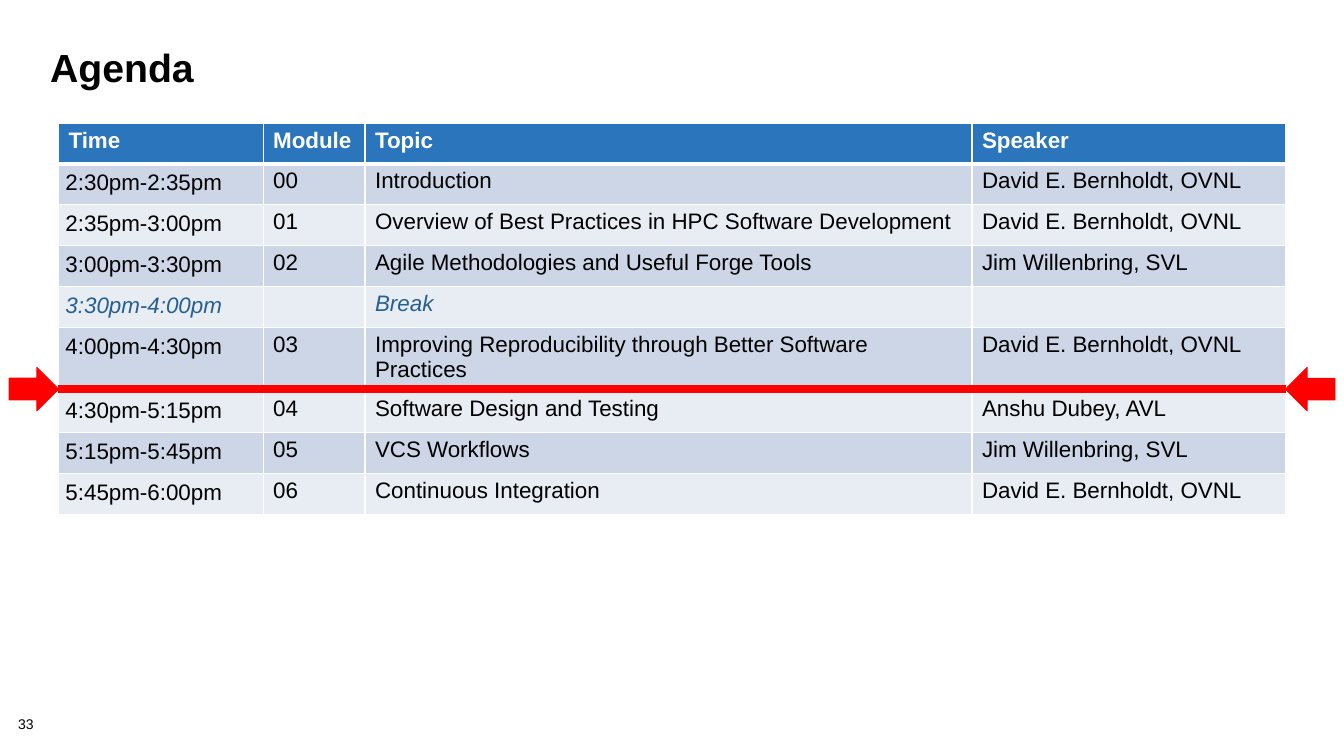
from dataclasses import dataclass

from lxml.etree import SubElement
from pptx import Presentation
from pptx.dml.color import RGBColor
from pptx.enum.shapes import MSO_CONNECTOR as Connector, MSO_SHAPE as Preset
from pptx.oxml.ns import qn
from pptx.slide import Slide
from pptx.table import _Cell as Cell
from pptx.text.text import TextFrame
from pptx.util import Inches, Length, Pt

COLOURS = {
    "text": "000000",
    "header": "2A75BB",
    "header text": "FFFFFF",
    "border": "FFFFFF",
    "odd row": "CDD6E7",
    "even row": "E8ECF3",
    "break": "266093",
    "marker": "FF0000",
}
FONT = "Arial"
SLIDE_WIDTH, SLIDE_HEIGHT = Inches(13.33), Inches(7.5)
ROW_SHARE, TALL_ROW_SHARE = 5.4, 7.9


@dataclass(frozen=True)
class Area:
    """A rectangle in percent of the slide's width and height."""
    left: float
    top: float
    width: float
    height: float

    def lengths(self) -> tuple[Length, Length, Length, Length]:
        return (across(self.left), down(self.top),
                across(self.width), down(self.height))


@dataclass(frozen=True)
class TextStyle:
    size: float
    colour: str = "text"
    bold: bool = False
    italic: bool = False


@dataclass(frozen=True)
class Session:
    time: str
    module: str
    topic: str
    speaker: str
    height: float = ROW_SHARE

    def texts(self) -> tuple[str, str, str, str]:
        return self.time, self.module, self.topic, self.speaker


HEADER_STYLE = TextStyle(16, "header text", bold=True)
SESSION_STYLE = TextStyle(16)
BREAK_STYLE = TextStyle(16, "break", italic=True)

ROWS = [
    Session("Time", "Module", "Topic", "Speaker"),
    Session("2:30pm-2:35pm", "00", "Introduction", "David E. Bernholdt, OVNL"),
    Session("2:35pm-3:00pm", "01",
            "Overview of Best Practices in HPC Software Development",
            "David E. Bernholdt, OVNL"),
    Session("3:00pm-3:30pm", "02", "Agile Methodologies and Useful Forge Tools",
            "Jim Willenbring, SVL"),
    Session("3:30pm-4:00pm", "", "Break", ""),
    Session("4:00pm-4:30pm", "03",
            "Improving Reproducibility through Better Software Practices",
            "David E. Bernholdt, OVNL", TALL_ROW_SHARE),
    Session("4:30pm-5:15pm", "04", "Software Design and Testing",
            "Anshu Dubey, AVL"),
    Session("5:15pm-5:45pm", "05", "VCS Workflows", "Jim Willenbring, SVL"),
    Session("5:45pm-6:00pm", "06", "Continuous Integration",
            "David E. Bernholdt, OVNL"),
]

NUMBER_AREA = Area(1.35, 94.93, 4.2, 2.13)
TITLE_AREA = Area(3, 6, 93.3, 13.33)
TABLE_AREA = Area(4.35, 16.27, 91.3, sum(row.height for row in ROWS))
COLUMN_SHARES = (15.23, 7.58, 45.16, 23.33)
MARKER_MIDDLE = 51.47
ARROW_WIDTH, ARROW_HEIGHT = 3.67, 5.73


def across(percent: float) -> Length:
    return Length(round(SLIDE_WIDTH * percent / 100))


def down(percent: float) -> Length:
    return Length(round(SLIDE_HEIGHT * percent / 100))


def colour(name: str) -> RGBColor:
    return RGBColor.from_string(COLOURS[name])


def write(frame: TextFrame, text: str, style: TextStyle,
          line_spacing: float = 1.0) -> None:
    para = frame.paragraphs[0]
    para.line_spacing = line_spacing
    span = para.add_run()
    span.text = text
    span.font.name = FONT
    span.font.size = Pt(style.size)
    span.font.bold = style.bold
    span.font.italic = style.italic
    span.font.color.rgb = colour(style.colour)


def add_text(page: Slide, area: Area, text: str, style: TextStyle,
             line_spacing: float, inset: bool = True) -> None:
    frame = page.shapes.add_textbox(*area.lengths()).text_frame
    frame.word_wrap = True
    if not inset:
        frame.margin_left = frame.margin_right = 0
        frame.margin_top = frame.margin_bottom = 0
    write(frame, text, style, line_spacing)


def add_borders(cell: Cell, top: float, bottom: float) -> None:
    properties = cell._tc.get_or_add_tcPr()
    for side, points in (("L", 1), ("R", 1), ("T", top), ("B", bottom)):
        line = SubElement(properties, qn(f"a:ln{side}"), w=str(Pt(points)))
        fill = SubElement(line, qn("a:solidFill"))
        SubElement(fill, qn("a:srgbClr"), val=COLOURS["border"])


def add_agenda(page: Slide) -> None:
    table = page.shapes.add_table(
        len(ROWS), len(COLUMN_SHARES), *TABLE_AREA.lengths()).table
    table.horz_banding = False
    for column, share in zip(table.columns, COLUMN_SHARES):
        column.width = across(share)
    for index, session in enumerate(ROWS):
        table.rows[index].height = down(session.height)
        if index == 0:
            fill, style = "header", HEADER_STYLE
        else:
            fill = "odd row" if index % 2 else "even row"
            style = SESSION_STYLE if session.module else BREAK_STYLE
        for position, text in enumerate(session.texts()):
            cell = table.cell(index, position)
            add_borders(cell, top=3 if index == 1 else 1,
                        bottom=3 if index == 0 else 1)
            cell.fill.solid()
            cell.fill.fore_color.rgb = colour(fill)
            if index and position == 0:
                cell.margin_left = cell.margin_right = Inches(0.07)
                cell.margin_top = cell.margin_bottom = Inches(0.07)
            if text:
                write(cell.text_frame, text, style)


def add_arrow(page: Slide, left: float, rotation: float) -> None:
    area = Area(left, MARKER_MIDDLE - ARROW_HEIGHT / 2, ARROW_WIDTH, ARROW_HEIGHT)
    arrow = page.shapes.add_shape(Preset.RIGHT_ARROW, *area.lengths())
    arrow.rotation = rotation
    arrow.shadow.inherit = False
    arrow.fill.solid()
    arrow.fill.fore_color.rgb = colour("marker")
    arrow.line.color.rgb = colour("marker")
    arrow.line.width = Pt(0.75)


def add_progress_marker(page: Slide) -> None:
    start, end = TABLE_AREA.left, TABLE_AREA.left + TABLE_AREA.width
    middle = down(MARKER_MIDDLE)
    line = page.shapes.add_connector(
        Connector.STRAIGHT, across(start), middle, across(end), middle)
    line.line.color.rgb = colour("marker")
    line.line.width = Pt(6)
    SubElement(line._element.spPr, qn("a:effectLst"))
    add_arrow(page, start - ARROW_WIDTH, 0)
    add_arrow(page, end, 180)


def main() -> None:
    deck = Presentation()
    deck.slide_width, deck.slide_height = SLIDE_WIDTH, SLIDE_HEIGHT
    page = deck.slides.add_slide(deck.slide_layouts[6])
    add_text(page, NUMBER_AREA, "33", TextStyle(10), 0.9, inset=False)
    add_text(page, TITLE_AREA, "Agenda", TextStyle(28, bold=True), 0.85)
    add_agenda(page)
    add_progress_marker(page)
    deck.save("out.pptx")


if __name__ == "__main__":
    main()
